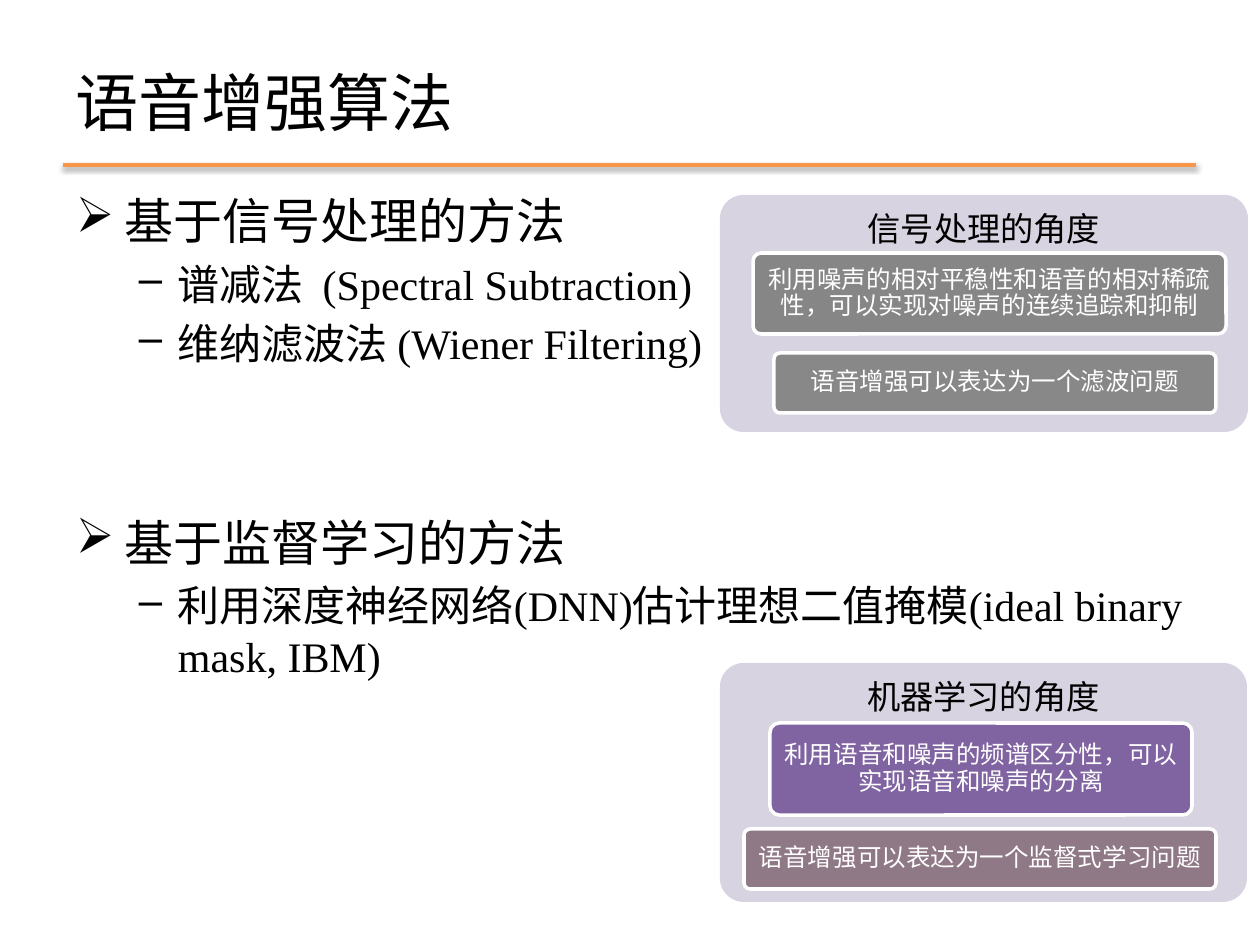
from lxml import etree
from pptx import Presentation
from pptx.dml.color import RGBColor
from pptx.enum.shapes import MSO_CONNECTOR, MSO_SHAPE
from pptx.enum.text import MSO_ANCHOR, PP_ALIGN
from pptx.oxml import parse_xml
from pptx.oxml.ns import qn
from pptx.util import Pt

SCALE = 914400 / 126
STRAIGHT = MSO_CONNECTOR.STRAIGHT
ROUNDED = MSO_SHAPE.ROUNDED_RECTANGLE
TOP, MIDDLE = MSO_ANCHOR.TOP, MSO_ANCHOR.MIDDLE
LEFT, CENTER = PP_ALIGN.LEFT, PP_ALIGN.CENTER
SERIF, SANS = "Times New Roman", "Calibri"
BLACK, WHITE, ORANGE, LILAC = "000000", "FFFFFF", "F79646", "D8D3E0"
SHADOW = (
    '<a:effectLst xmlns:a="http://schemas.openxmlformats.org/drawingml/2006/main">'
    '<a:outerShdw blurRad="39370" dist="20320" dir="5400000" rotWithShape="0">'
    '<a:srgbClr val="000000"><a:alpha val="38000"/></a:srgbClr>'
    '</a:outerShdw></a:effectLst>'
)

OUTLINE = [
    (0, "基于信号处理的方法", 0),
    (1, "谱减法  (Spectral Subtraction)", 4.8),
    (1, "维纳滤波法 (Wiener Filtering)", 4.8),
    (0, "基于监督学习的方法", 83),
    (1, "利用深度神经网络(DNN)估计理想二值掩模(ideal binary mask, IBM)", 4.8),
]
LEVELS = [
    {"bullet": "➢", "margin": 49, "hanging": 49, "size": 28},
    {"bullet": "–", "margin": 102, "hanging": 39, "size": 24},
]
PANELS = [
    ((720, 195, 528, 237), "信号处理的角度", [
        ((753, 253, 473, 81), "868686",
         "利用噪声的相对平稳性和语音的相对稀疏性，可以实现对噪声的连续追踪和抑制"),
        ((774, 353, 442, 60), "888888", "语音增强可以表达为一个滤波问题"),
    ]),
    ((720, 663, 527, 239), "机器学习的角度", [
        ((770, 723, 422, 92), "8064A2",
         "利用语音和噪声的频谱区分性，可以实现语音和噪声的分离"),
        ((744, 829, 472, 60), "907986", "语音增强可以表达为一个监督式学习问题"),
    ]),
]


def px(length):
    """Turn pixels into EMU."""
    return round(length * SCALE)


def color(value):
    """Turn a hex string into a colour."""
    return RGBColor.from_string(value)


def set_frame(box, anchor, sides, top):
    """Set wrapping, anchor and margins, and return the text frame."""
    frame = box.text_frame
    frame.word_wrap = True
    frame.vertical_anchor = anchor
    frame.margin_left = frame.margin_right = px(sides)
    frame.margin_top = frame.margin_bottom = px(top)
    return frame


def write(para, text, size, font=SERIF, fill=BLACK, align=LEFT, before=0, spacing=None):
    """Fill one paragraph with formatted text."""
    para.alignment = align
    para.space_before = Pt(before)
    if spacing:
        para.line_spacing = spacing
    span = para.add_run()
    span.text = text
    span.font.size = Pt(size)
    span.font.name = font
    span.font.color.rgb = color(fill)


def add_bullet(para, bullet, margin, hanging):
    """Give a paragraph a bullet with a hanging indent."""
    properties = para._p.get_or_add_pPr()
    properties.set("marL", str(px(margin)))
    properties.set("indent", str(-px(hanging)))
    etree.SubElement(properties, qn("a:buChar")).set("char", bullet)


def add_title(page, text):
    """Add the title and the shadowed rule below it."""
    box = page.shapes.add_textbox(px(63), px(38), px(1134), px(127))
    frame = set_frame(box, MIDDLE, 13, 6)
    write(frame.paragraphs[0], text, 36)
    rule = page.shapes.add_connector(STRAIGHT, px(63), px(165), px(1196), px(165))
    rule.line.color.rgb = color(ORANGE)
    rule.line.width = Pt(2)
    rule._element.spPr.append(parse_xml(SHADOW))


def add_outline(page, items):
    """Add the two-level bulleted list."""
    box = page.shapes.add_textbox(px(63), px(185), px(1134), px(659))
    frame = set_frame(box, TOP, 13, 6)
    for index, (level, text, before) in enumerate(items):
        para = frame.paragraphs[0] if index == 0 else frame.add_paragraph()
        style = LEVELS[level]
        para.level = level
        add_bullet(para, style["bullet"], style["margin"], style["hanging"])
        write(para, text, style["size"], before=before)


def add_block(page, place, fill, text, size, ink, anchor, top, outlined):
    """Add a rounded rectangle with centred text."""
    block = page.shapes.add_shape(ROUNDED, *map(px, place))
    block.adjustments[0] = 0.1
    block.shadow.inherit = False
    block.fill.solid()
    block.fill.fore_color.rgb = color(fill)
    if outlined:
        block.line.color.rgb = color(WHITE)
        block.line.width = Pt(2)
    else:
        block.line.fill.background()
    frame = set_frame(block, anchor, 4, top)
    write(frame.paragraphs[0], text, size, font=SANS, fill=ink,
          align=CENTER, spacing=0.9)


def add_panel(page, place, heading, cards):
    """Add a headed panel with its cards."""
    add_block(page, place, LILAC, heading, 19, BLACK, TOP, 11, False)
    for card_place, fill, text in cards:
        add_block(page, card_place, fill, text, 14, WHITE, MIDDLE, 4, True)


def main():
    """Build and save the slide."""
    deck = Presentation()
    deck.slide_width, deck.slide_height = px(1260), px(945)
    page = deck.slides.add_slide(deck.slide_layouts[6])
    add_title(page, "语音增强算法")
    add_outline(page, OUTLINE)
    for place, heading, cards in PANELS:
        add_panel(page, place, heading, cards)
    deck.save("out.pptx")


if __name__ == "__main__":
    main()
